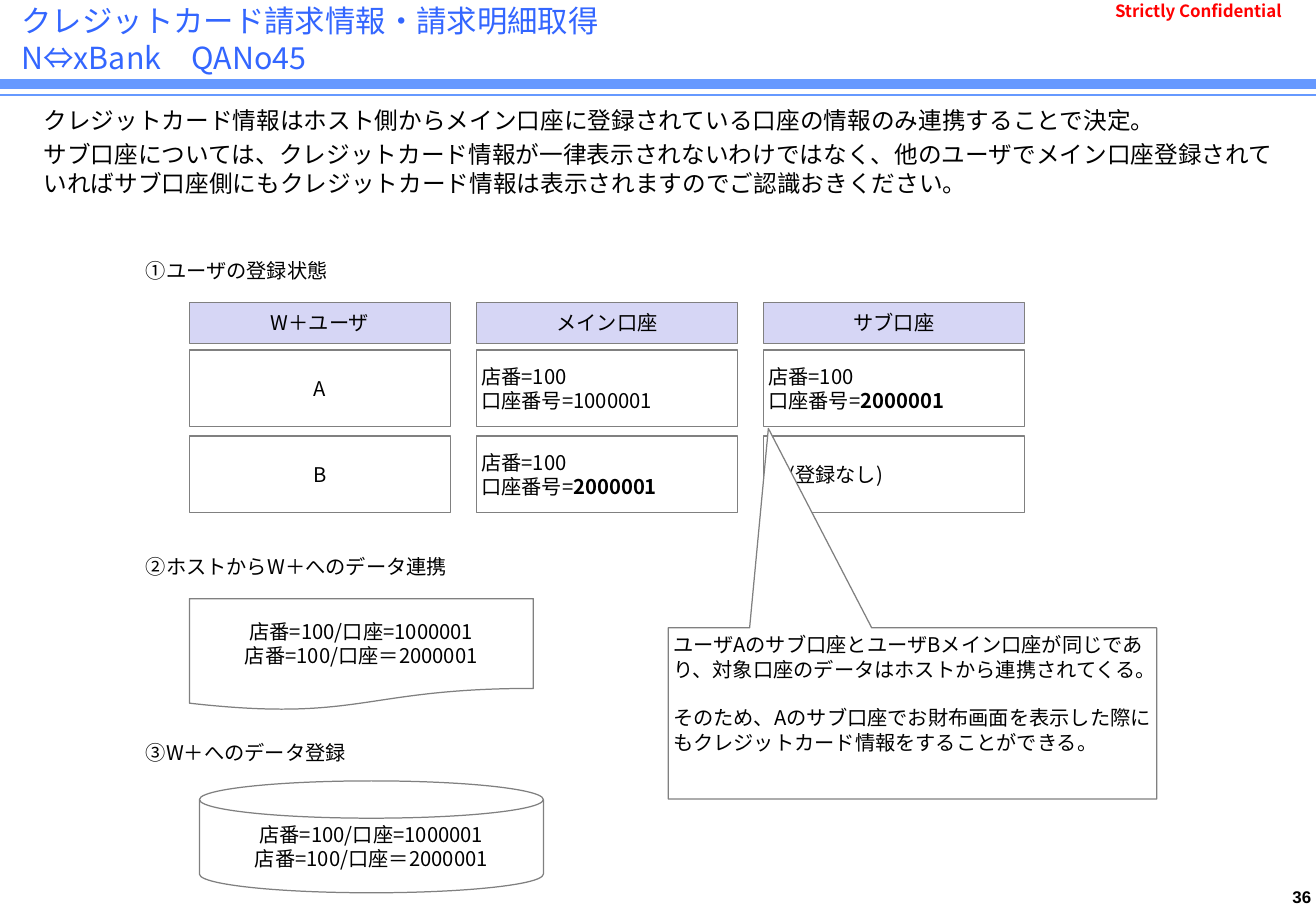
"""Build the slide on credit card billing data shared between accounts."""
from lxml.etree import SubElement
from pptx import Presentation
from pptx.dml.color import RGBColor
from pptx.enum.shapes import MSO_CONNECTOR, MSO_SHAPE as SHAPE
from pptx.enum.text import MSO_ANCHOR as ANCHOR, MSO_AUTO_SIZE, PP_ALIGN as ALIGN
from pptx.oxml.ns import qn
from pptx.util import Cm, Pt

COLORS = {"title": "3366FF", "rule": "6699FF", "text": "000000", "alert": "FF0000",
          "header": "D6D6F5", "white": "FFFFFF", "line": "808080"}
FONT = "Noto Sans CJK JP"


def write(tf, text, size=12, color="text", align=ALIGN.LEFT, anchor=ANCHOR.MIDDLE,
          pitch=14.4, gap=0, bold=False, tail="", font=FONT, inset=0.1):
    tf.text = text
    tf.auto_size = MSO_AUTO_SIZE.NONE
    tf.vertical_anchor = anchor
    tf.margin_left = tf.margin_right = Cm(inset)
    tf.margin_top = tf.margin_bottom = Cm(min(inset, 0.13))
    if tail:
        tf.paragraphs[-1].add_run().text = tail
    for i, p in enumerate(tf.paragraphs):
        p.alignment = align
        p.line_spacing = Pt(pitch)
        p.space_before = Pt(gap if i else 0)
        for r in p.runs:
            r.font.name = font
            r.font.size = Pt(size)
            r.font.bold = bold or (bool(tail) and r.text == tail)
            r.font.color.rgb = RGBColor.from_string(COLORS[color])
            SubElement(r.font._element, qn("a:ea")).set("typeface", font)


def add_box(kind, place, text, fill="white", outline=True, wrap=False, **style):
    sp = s.shapes.add_shape(kind, *[Cm(v) for v in place])
    sp.shadow.inherit = False
    sp.fill.solid()
    sp.fill.fore_color.rgb = RGBColor.from_string(COLORS[fill])
    if outline:
        sp.line.color.rgb = RGBColor.from_string(COLORS["line"])
        sp.line.width = Pt(0.75)
    else:
        sp.line.fill.background()
    write(sp.text_frame, text, **style)
    sp.text_frame.word_wrap = wrap
    return sp


prs = Presentation()
prs.slide_width, prs.slide_height = Cm(27.51), Cm(19.05)
s = prs.slides.add_slide(prs.slide_layouts[1])

for y, width in [(1.75, 6), (1.98, 1)]:
    rule = s.shapes.add_connector(MSO_CONNECTOR.STRAIGHT, 0, Cm(y), prs.slide_width, Cm(y))
    rule.line.color.rgb = RGBColor.from_string(COLORS["rule"])
    rule.line.width = Pt(width)
    SubElement(rule._element.spPr, qn("a:effectLst"))

labels = [
    ((26.7, 18.44, 0.81, 0.63), "36",
     dict(align=ALIGN.RIGHT, anchor=ANCHOR.TOP, font="Arial", pitch=12)),
    ((23.11, 0.1, 4.47, 0.25), "Strictly Confidential",
     dict(color="alert", pitch=12, inset=0.2)),
]
for place, text, style in labels:
    tb = s.shapes.add_textbox(*[Cm(v) for v in place])
    write(tb.text_frame, text, size=10, bold=True, **style)
    tb.text_frame.word_wrap = True

title, body = s.shapes.title, s.placeholders[1]
title.left, title.top, title.width, title.height = Cm(0.2), Cm(0.15), Cm(26.37), Cm(1.3)
write(title.text_frame, "クレジットカード請求情報・請求明細取得\vN⇔xBank\u3000QANo45",
      size=18, color="title", pitch=22, inset=0.25)

body.left, body.top, body.width, body.height = Cm(0.66), Cm(2.06), Cm(26.21), Cm(1.6)
write(body.text_frame,
      "クレジットカード情報はホスト側からメイン口座に登録されている口座の情報のみ連携することで決定。\n"
      "サブ口座については、クレジットカード情報が一律表示されないわけではなく、"
      "他のユーザでメイン口座登録されていればサブ口座側にもクレジットカード情報は表示されますのでご認識おきください。",
      size=14, anchor=ANCHOR.TOP, pitch=17.5, gap=2.5, inset=0.25)
for p in body.text_frame.paragraphs:
    pPr = p._p.get_or_add_pPr()
    pPr.set("marL", "0")
    pPr.set("indent", "0")
    SubElement(pPr, qn("a:buNone"))

main_account = "店番=100\n口座番号="
columns = [
    ("W＋ユーザ", [("A", ""), ("B", "")]),
    ("メイン口座", [(main_account + "1000001", ""), (main_account, "2000001")]),
    ("サブ口座", [(main_account, "2000001"), ("ー(登録なし)", "")]),
]
for col, (header, cells) in enumerate(columns):
    x = 3.96 + 6 * col
    add_box(SHAPE.RECTANGLE, (x, 6.32, 5.46, 0.86), header, fill="header", align=ALIGN.CENTER)
    for row, (text, tail) in enumerate(cells):
        add_box(SHAPE.RECTANGLE, (x, 7.32 + 1.8 * row, 5.46, 1.6), text, tail=tail,
                align=ALIGN.LEFT if col else ALIGN.CENTER)

for y, heading in [(5.26, "①ユーザの登録状態"), (11.46, "②ホストからW＋へのデータ連携"),
                   (15.34, "③W＋へのデータ登録")]:
    add_box(SHAPE.RECTANGLE, (2.95, y, 5.05, 0.79), heading, outline=False)

for kind, x, y in [(SHAPE.FLOWCHART_DOCUMENT, 3.96, 12.52),
                   (SHAPE.FLOWCHART_MAGNETIC_DISK, 4.17, 16.33)]:
    add_box(kind, (x, y, 7.19, 2.34), "店番=100/口座=1000001\n店番=100/口座＝2000001",
            align=ALIGN.CENTER)

callout = add_box(
    SHAPE.RECTANGULAR_CALLOUT, (13.97, 13.13, 10.21, 3.58),
    "ユーザAのサブ口座とユーザBメイン口座が同じであり、対象口座のデータはホストから連携されてくる。\n"
    "そのため、Aのサブ口座でお財布画面を表示した際にもクレジットカード情報をすることができる。",
    wrap=True, anchor=ANCHOR.TOP, gap=14.4)
callout.adjustments[0], callout.adjustments[1] = -0.295, -1.665

prs.save("out.pptx")
